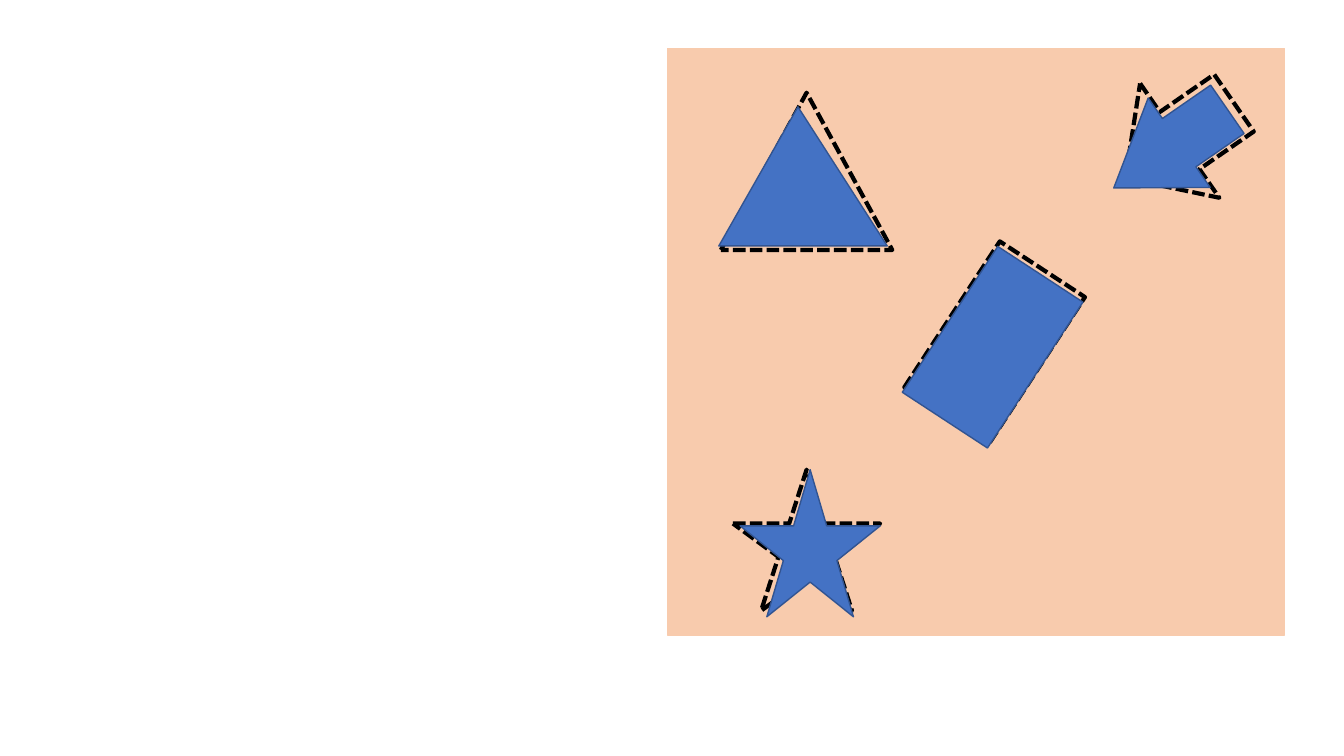
from pptx import Presentation
from pptx.dml.color import RGBColor
from pptx.enum.dml import MSO_LINE
from pptx.enum.shapes import MSO_SHAPE as SHAPE
from pptx.util import Pt

PX = 9144  # 100 px to the inch
COLORS = {"board": "F8CBAD", "dash": "000000", "piece": "4472C4", "edge": "325491"}


def add_figure(shapes, kind, bounds, fill, line, width=1, rotation=0):
    figure = shapes.add_shape(kind, *(value * PX for value in bounds))
    figure.shadow.inherit = False
    figure.rotation = rotation
    figure.fill.solid()
    figure.fill.fore_color.rgb = RGBColor.from_string(COLORS[fill])
    figure.line.color.rgb = RGBColor.from_string(COLORS[line])
    figure.line.width = Pt(width)
    return figure


deck = Presentation()
deck.slide_width, deck.slide_height = 1333 * PX, 750 * PX
page = deck.slides.add_slide(deck.slide_layouts[6])

# Board with the dashed slots
board = page.shapes.add_group_shape()
add_figure(board.shapes, SHAPE.RECTANGLE, (662, 48, 612, 582), "board", "board")

slots = [
    (SHAPE.ISOSCELES_TRIANGLE, (715, 92, 170, 156), 0),
    (SHAPE.RECTANGLE, (936, 253, 101, 173), 33.2),
    (SHAPE.DOWN_ARROW, (1101, 74, 138, 131), 55.3),
    (SHAPE.STAR_5_POINT, (727, 466, 146, 140), 0),
]
for kind, bounds, rotation in slots:
    slot = add_figure(board.shapes, kind, bounds, "board", "dash", 3, rotation)
    slot.line.dash_style = MSO_LINE.SQUARE_DOT

# Pieces lying on the slots
pieces = [
    (SHAPE.ISOSCELES_TRIANGLE, (713, 106, 167, 138), 0, [0.47]),
    (SHAPE.RECTANGLE, (934, 258, 101, 173), 33.2, []),
    (SHAPE.DOWN_ARROW, (1107, 79, 108, 137), 55.3, [0.54, 0.73]),
    (SHAPE.STAR_5_POINT, (734, 466, 139, 146), 0, []),
]
for kind, bounds, rotation, adjustments in pieces:
    piece = add_figure(page.shapes, kind, bounds, "piece", "edge", rotation=rotation)
    for index, value in enumerate(adjustments):
        piece.adjustments[index] = value

deck.save("out.pptx")
